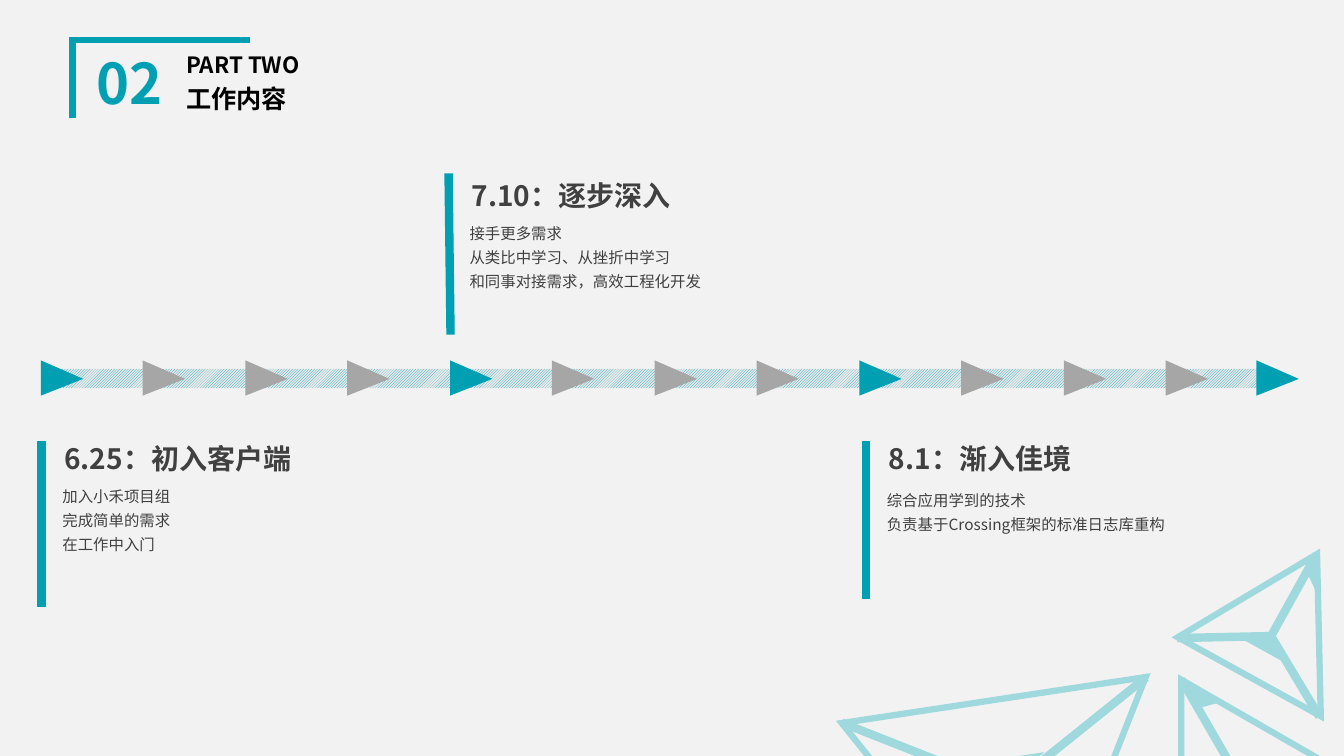
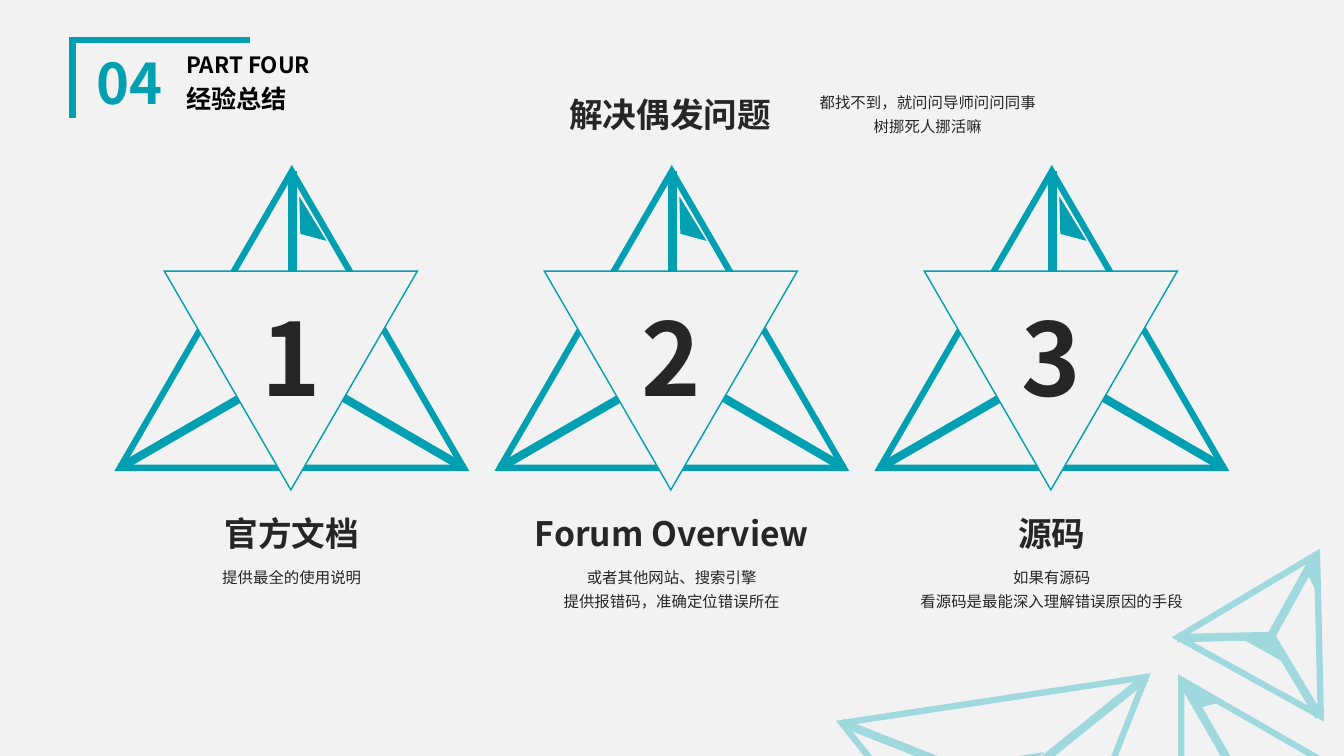
from lxml import etree
from pptx import Presentation
from pptx import util as u
from pptx.dml import color
from pptx.enum import dml, shapes, text
from pptx.oxml import ns

SCALE = 9144
FONT = "Noto Sans CJK SC"
PAPER, TEAL, PALE, GREY = "F2F2F2", "009FB1", "9FD9DE", "A6A6A6"
STRIPE, BLACK, INK, SOFT = "E9E9E9", "000000", "262626", "404040"
TRIANGLE = shapes.MSO_SHAPE.ISOSCELES_TRIANGLE
CENTER = text.PP_ALIGN.CENTER


def px(length):
    """Turn px into EMU."""
    return u.Emu(round(length * SCALE))


def rgb(value):
    """Turn a hex string into a colour."""
    return color.RGBColor.from_string(value)


def paint(shape, fill=None, line=None, weight=1):
    """Set fill and outline, with pointed corners and no shadow."""
    shape.shadow.inherit = False
    if fill:
        shape.fill.solid()
        shape.fill.fore_color.rgb = rgb(fill)
    else:
        shape.fill.background()
    if line:
        shape.line.color.rgb = rgb(line)
        shape.line.width = u.Pt(weight)
        miter = etree.SubElement(shape.line._get_or_add_ln(), ns.qn("a:miter"))
        miter.set("lim", "800000")
    else:
        shape.line.fill.background()


def add_triangle(slide, left, top, width, height, rotation=0, **look):
    """Draw a triangle."""
    triangle = slide.shapes.add_shape(TRIANGLE, px(left), px(top), px(width), px(height))
    triangle.rotation = rotation
    paint(triangle, **look)
    return triangle


def add_outline(slide, points, closed=True, **look):
    """Draw straight edges through the points."""
    builder = slide.shapes.build_freeform(*points[0], scale=SCALE)
    builder.add_line_segments(points[1:], close=closed)
    paint(builder.convert_to_shape(), **look)


def add_bar(slide, start, end, tint=TEAL):
    """Draw a thick straight line."""
    bar = slide.shapes.add_connector(
        shapes.MSO_CONNECTOR.STRAIGHT, *map(px, start), *map(px, end))
    bar.line.color.rgb = rgb(tint)
    bar.line.width = u.Pt(6)
    etree.SubElement(bar._element.spPr, ns.qn("a:effectLst"))


def add_text(slide, words, left, top, width, height, size=11, tint=INK, bold=False,
             align=None, spacing=None, before=None, middle=False):
    """Write one paragraph for each line of words."""
    frame = slide.shapes.add_textbox(px(left), px(top), px(width), px(height)).text_frame
    frame.word_wrap = True
    if middle:
        frame.vertical_anchor = text.MSO_ANCHOR.MIDDLE
    for number, words_line in enumerate(words.split("\n")):
        paragraph = frame.add_paragraph() if number else frame.paragraphs[0]
        paragraph.alignment = align
        paragraph.line_spacing = spacing
        if before:
            paragraph.space_before = u.Pt(before)
        run = paragraph.add_run()
        run.text = words_line
        run.font.size, run.font.bold, run.font.name = u.Pt(size), bold, FONT
        run.font.color.rgb = rgb(tint)
        east = etree.SubElement(run._r.get_or_add_rPr(), ns.qn("a:ea"))
        east.set("typeface", FONT)


def add_crystal(slide, left, top, width, height, tint, hub, tips,
                rotation=0, base=None, shard=None, edge=None):
    """Draw a triangle with spokes to its hub, placed from its left top corner."""
    def at(point):
        return left + point[0], top + point[1]

    add_triangle(slide, left, top, width, height, rotation,
                 fill=PAPER, line=tint, weight=4.5)
    for tip in tips:
        add_bar(slide, at(tip), at(hub), tint)
    if base:
        add_triangle(slide, *at(base[:2]), *base[2:], rotation, fill=tint, line=edge)
    if shard:
        add_outline(slide, [at(point) for point in shard], fill=tint, line=edge)


def add_corner(slide):
    """Draw the pale crystals in the lower right corner."""
    add_crystal(slide, 853, 693, 305, 263, PALE, (147, 89), [(284, -21), (-18, 24)],
                rotation=171.4, base=(104, 60, 79, 24), edge=PALE)
    add_crystal(slide, 1116, 663, 197, 170, PALE, (112, 108), [(56, 11)],
                rotation=330, shard=[(76, 38), (91, 34), (65, 19)], edge=PALE)
    add_crystal(slide, 1192, 541, 162, 139, PALE, (69, 90),
                [(114, 9), (-24, 92), (117, 170)], rotation=28.9,
                base=(44, 92, 42, 13), shard=[(104, 24), (113, 43), (112, 19)], edge=PALE)


def add_header(slide, left, top, number, part, title):
    """Draw the bracket with part number and title."""
    add_outline(slide, [(left, top + 77), (left, top), (left + 176, top)],
                closed=False, line=TEAL, weight=4.5)
    style = dict(bold=True, spacing=0.9, before=10, middle=True)
    add_text(slide, number, left + 10, top + 9, 93, 73, size=40, tint=TEAL,
             align=CENTER, **style)
    add_text(slide, part, left + 103, top + 9, 267, 34, size=16, tint=BLACK, **style)
    add_text(slide, title, left + 103, top + 38, 267, 44, size=18, tint=BLACK, **style)


def new_slide(deck, number, part, title):
    """Add a slide with background, corner and header."""
    slide = deck.slides.add_slide(deck.slide_layouts[6])
    slide.background.fill.solid()
    slide.background.fill.fore_color.rgb = rgb(PAPER)
    add_corner(slide)
    add_header(slide, 72, 40, number, part, title)
    return slide


def add_timeline(slide, left, top):
    """Draw the striped track and its arrowheads."""
    track = slide.shapes.add_shape(
        shapes.MSO_SHAPE.RECTANGLE, px(left), px(top + 12), px(1223), px(19))
    paint(track)
    track.fill.patterned()
    track.fill.pattern = dml.MSO_PATTERN.LIGHT_UPWARD_DIAGONAL
    track.fill.fore_color.rgb = rgb(TEAL)
    track.fill.back_color.rgb = rgb(STRIPE)
    steps = [left + 3 + round(step * 1116 / 11) for step in range(12)] + [left + 1209]
    for step, arrow_left in enumerate(steps):
        arrow = add_triangle(slide, arrow_left, top, 35, 42, 90,
                             fill=GREY if step % 4 else TEAL)
        arrow.adjustments[0] = 0.525


def add_milestone(slide, left, top, length, title, details,
                  lean=0, title_top=-5, details_top=35, width=382):
    """Draw a bar with a dated title and details to its right."""
    add_bar(slide, (left, top), (left + lean, top + length))
    add_text(slide, title, left + 13, top + title_top, 263, 44,
             size=20, tint=SOFT, bold=True)
    add_text(slide, details, left + 11, top + details_top, width, 80,
             tint=SOFT, spacing=1.3)


def add_pyramid(slide, left, top, number, title, details):
    """Draw a numbered pyramid with a title and details under it."""
    add_crystal(slide, left, top, 341, 294, TEAL, (171, 195),
                [(171, 0), (0, 294), (341, 294)],
                shard=[(179, 62), (205, 69), (178, 25)])
    add_triangle(slide, left + 44, top + 99, 251, 217, 180, fill=PAPER, line=TEAL)
    add_text(slide, number, left + 129, top + 118, 82, 131,
             size=72, bold=True, align=CENTER)
    add_text(slide, title, left, top + 334, 341, 50, size=24, bold=True, align=CENTER)
    add_text(slide, details, left + 19, top + 383, 303, 56, align=CENTER, spacing=1.3)


def build_work(deck):
    """Build the slide with the timeline of the work."""
    slide = new_slide(deck, "02", "PART TWO", "工作内容")
    add_timeline(slide, 41, 354)
    add_milestone(slide, 41, 438, 164, "6.25：初入客户端",
                  "加入小禾项目组\n完成简单的需求\n在工作中入门")
    add_milestone(slide, 445, 172, 160, "7.10：逐步深入",
                  "接手更多需求\n从类比中学习、从挫折中学习\n和同事对接需求，高效工程化开发",
                  lean=2, title_top=0, details_top=40, width=402)
    add_milestone(slide, 859, 438, 156, "8.1：渐入佳境",
                  "综合应用学到的技术\n负责基于Crossing框架的标准日志库重构",
                  details_top=39, width=450)


def build_lessons(deck):
    """Build the slide with the three ways to solve problems."""
    slide = new_slide(deck, "04", "PART FOUR", "经验总结")
    ways = [
        ("官方文档", "提供最全的使用说明"),
        ("Forum Overview", "或者其他网站、搜索引擎\n提供报错码，准确定位错误所在"),
        ("源码", "如果有源码\n看源码是最能深入理解错误原因的手段"),
    ]
    for index, (title, details) in enumerate(ways):
        add_pyramid(slide, 119 + 377 * index, 170, str(index + 1), title, details)
    add_text(slide, "解决偶发问题", 555, 88, 222, 50, size=24, bold=True)
    add_text(slide, "都找不到，就问问导师问问同事\n树挪死人挪活嘛", 769, 82, 303, 56,
             align=CENTER, spacing=1.3)


def main():
    """Build and save the deck."""
    deck = Presentation()
    deck.slide_width, deck.slide_height = u.Inches(40 / 3), px(750)
    build_work(deck)
    build_lessons(deck)
    deck.save("out.pptx")


if __name__ == "__main__":
    main()
